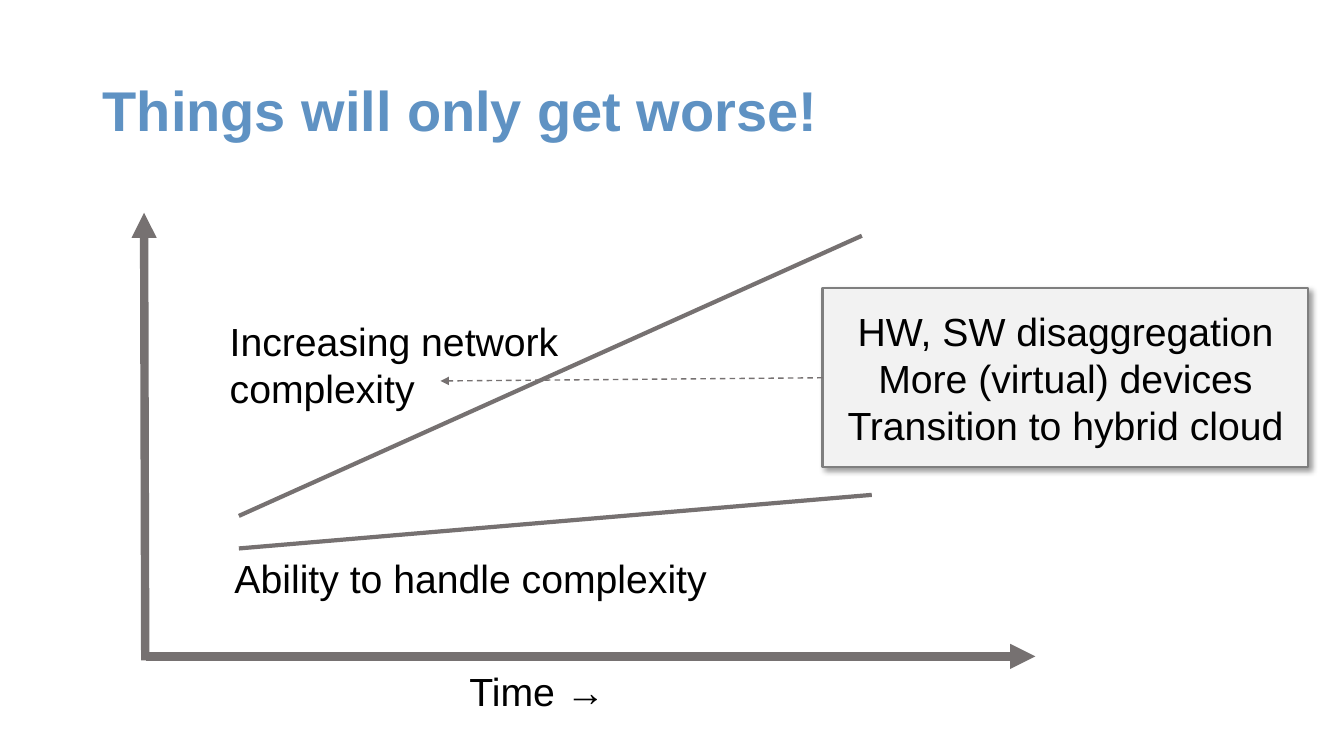
from dataclasses import dataclass
from typing import Any, Optional

from lxml.etree import SubElement
from pptx import Presentation
from pptx.dml.color import RGBColor
from pptx.enum.dml import MSO_LINE_DASH_STYLE as Dash
from pptx.enum.shapes import MSO_CONNECTOR as Connector
from pptx.enum.shapes import MSO_SHAPE as Shape
from pptx.enum.text import MSO_ANCHOR as Anchor
from pptx.enum.text import MSO_AUTO_SIZE as AutoSize
from pptx.enum.text import PP_ALIGN as Align
from pptx.oxml.ns import qn
from pptx.util import Cm, Pt

BLUE = RGBColor(0x5F, 0x92, 0xC3)
GREY = RGBColor(0x76, 0x71, 0x71)
BORDER = RGBColor(0x7F, 0x7F, 0x7F)
PALE = RGBColor(0xF2, 0xF2, 0xF2)
BLACK = RGBColor(0x00, 0x00, 0x00)

TITLE_FONT = {"name": "Arial", "size": Pt(40), "bold": True}
BODY_FONT = {"name": "Arial", "size": Pt(28), "bold": False}


@dataclass
class Stroke:
    start: tuple[float, float]
    end: tuple[float, float]
    width: float
    arrow: bool = False
    dash: Optional[Dash] = None


@dataclass
class Label:
    text: str
    left: float
    top: float
    width: float
    height: float


AXES = [
    Stroke((3.68, 16.54), (26.09, 16.54), 6, arrow=True),
    Stroke((3.66, 16.64), (3.63, 5.36), 6, arrow=True),
]
TRENDS = [
    Stroke((6.02, 13.82), (21.97, 12.47), 3),
    Stroke((6.02, 13), (21.72, 5.94), 3),
]
CAUSE_ARROW = Stroke((20.73, 9.52), (11.1, 9.6), 1, arrow=True, dash=Dash.DASH)
LABELS = [
    Label("Increasing network \ncomplexity", 5.54, 7.87, 9.63, 2.64),
    Label("Ability to handle complexity", 5.66, 13.84, 13.77, 1.45),
    Label("Time →", 11.58, 16.69, 5.72, 1.45),
]
CAUSES = ["HW, SW disaggregation", "More (virtual) devices", "Transition to hybrid cloud"]


def set_attributes(target: Any, values: dict[str, Any]) -> None:
    for name, value in values.items():
        setattr(target, name, value)


def write(paragraph: Any, text: str, font: dict[str, Any], color: RGBColor, align: Align) -> None:
    paragraph.text = text
    paragraph.alignment = align
    for run in paragraph.runs:
        set_attributes(run.font, font)
        run.font.color.rgb = color


def add_title(slide: Any, text: str) -> None:
    title = slide.shapes.title
    set_attributes(title, {"left": Cm(2.34), "top": Cm(1.02), "width": Cm(29.21), "height": Cm(3.68)})
    frame = title.text_frame
    set_attributes(frame, {
        "vertical_anchor": Anchor.MIDDLE, "word_wrap": True, "auto_size": AutoSize.NONE,
        "margin_left": Cm(0.25), "margin_right": Cm(0.25),
        "margin_top": Cm(0.25), "margin_bottom": Cm(0.25),
    })
    paragraph = frame.paragraphs[0]
    write(paragraph, text, TITLE_FONT, BLUE, Align.LEFT)
    paragraph.line_spacing = 0.9


def add_stroke(slide: Any, stroke: Stroke) -> Any:
    points = [Cm(value) for value in (*stroke.start, *stroke.end)]
    connector = slide.shapes.add_connector(Connector.STRAIGHT, *points)
    line = connector.line
    line.color.rgb = GREY
    line.width = Pt(stroke.width)
    if stroke.dash is not None:
        line.dash_style = stroke.dash
    properties = connector._element.spPr
    if stroke.arrow:
        SubElement(properties.find(qn("a:ln")), qn("a:tailEnd"), type="triangle")
    SubElement(properties, qn("a:effectLst"))
    return connector


def add_label(slide: Any, label: Label) -> None:
    box = slide.shapes.add_textbox(Cm(label.left), Cm(label.top), Cm(label.width), Cm(label.height))
    frame = box.text_frame
    set_attributes(frame, {"word_wrap": True, "auto_size": AutoSize.SHAPE_TO_FIT_TEXT})
    write(frame.paragraphs[0], label.text, BODY_FONT, BLACK, Align.LEFT)


def add_shadow(shape: Any) -> None:
    shape.shadow.inherit = False
    effects = shape._element.spPr.find(qn("a:effectLst"))
    shadow = SubElement(effects, qn("a:outerShdw"), blurRad=str(Pt(4)), dist=str(Pt(3)),
                        dir=str(45 * 60000), algn="tl", rotWithShape="0")
    color = SubElement(shadow, qn("a:srgbClr"), val=str(BLACK))
    SubElement(color, qn("a:alpha"), val="40000")


def add_cause_box(slide: Any, lines: list[str]) -> Any:
    box = slide.shapes.add_shape(Shape.RECTANGLE, Cm(20.73), Cm(7.26), Cm(12.24), Cm(4.52))
    box.fill.solid()
    box.fill.fore_color.rgb = PALE
    box.line.color.rgb = BORDER
    box.line.width = Pt(1.5)
    add_shadow(box)
    frame = box.text_frame
    set_attributes(frame, {"vertical_anchor": Anchor.MIDDLE, "word_wrap": True})
    for index, text in enumerate(lines):
        paragraph = frame.add_paragraph() if index else frame.paragraphs[0]
        write(paragraph, text, BODY_FONT, BLACK, Align.CENTER)
    return box


def main() -> None:
    presentation = Presentation()
    set_attributes(presentation, {"slide_width": Cm(33.87), "slide_height": Cm(19.05)})
    slide = presentation.slides.add_slide(presentation.slide_layouts[5])
    add_title(slide, "Things will only get worse!")
    for stroke in AXES + TRENDS:
        add_stroke(slide, stroke)
    for label in LABELS:
        add_label(slide, label)
    cause_box = add_cause_box(slide, CAUSES)
    add_stroke(slide, CAUSE_ARROW).begin_connect(cause_box, 1)
    presentation.save("out.pptx")


if __name__ == "__main__":
    main()
